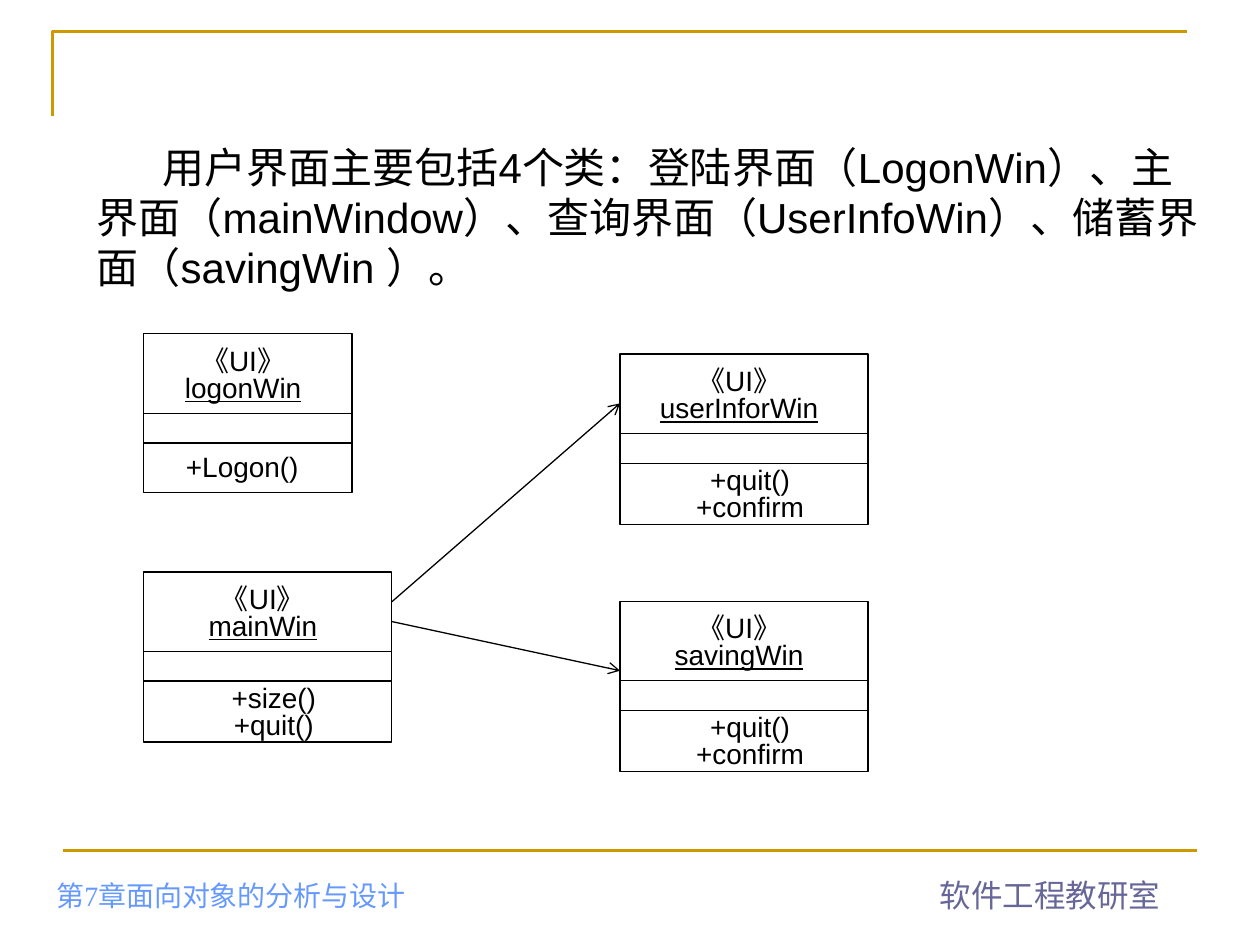
from dataclasses import dataclass

from lxml.etree import SubElement
from pptx import Presentation
from pptx.dml.color import RGBColor
from pptx.enum.shapes import MSO_CONNECTOR, MSO_SHAPE
from pptx.enum.text import MSO_ANCHOR, PP_ALIGN
from pptx.oxml.ns import qn
from pptx.util import Cm, Pt

COLOURS = {
    "ink": "000000",
    "gold": "CC9900",
    "chapter": "6699FF",
    "department": "666699",
}
NAME_HEIGHT = 1.6
OPERATIONS_TOP = 2.2


@dataclass(frozen=True)
class TextStyle:
    size: float = 16
    colour: str = "ink"
    font: str = "Arial"
    align: PP_ALIGN = PP_ALIGN.LEFT
    spacing: float = 1.0
    anchor: MSO_ANCHOR = MSO_ANCHOR.TOP
    wrap: bool = True
    indent: float = 0


@dataclass(frozen=True)
class UmlClass:
    name: str
    operations: tuple[str, ...]
    left: float
    top: float
    width: float = 5.0
    height: float = 3.43


@dataclass(frozen=True)
class Association:
    start: tuple[float, float]
    end: tuple[float, float]


CENTRED = TextStyle(align=PP_ALIGN.CENTER, spacing=0.8)
CLASSES = (
    UmlClass("logonWin", ("+Logon()",), 2.9, 6.73, 4.2, 3.2),
    UmlClass("userInforWin", ("+quit()", "+confirm"), 12.5, 7.14),
    UmlClass("mainWin", ("+size()", "+quit()"), 2.9, 11.53),
    UmlClass("savingWin", ("+quit()", "+confirm"), 12.5, 12.12),
)
ASSOCIATIONS = (
    Association((7.9, 12.13), (12.5, 8.13)),
    Association((7.9, 12.53), (12.5, 13.52)),
)


def colour(name: str) -> RGBColor:
    return RGBColor.from_string(COLOURS[name])


def add_text(shapes, left: float, top: float, width: float, height: float,
             lines: tuple[str, ...], style: TextStyle, underlined: str = "") -> None:
    """Write one paragraph per line, underlining the line equal to underlined."""
    frame = shapes.add_textbox(Cm(left), Cm(top), Cm(width), Cm(height)).text_frame
    frame.word_wrap = style.wrap
    frame.vertical_anchor = style.anchor
    for index, line in enumerate(lines):
        paragraph = frame.add_paragraph() if index else frame.paragraphs[0]
        paragraph.alignment = style.align
        paragraph.line_spacing = style.spacing
        if style.indent:
            paragraph._p.get_or_add_pPr().set("indent", str(Cm(style.indent)))
        run = paragraph.add_run()
        run.text = line
        run.font.name = style.font
        run.font.size = Pt(style.size)
        run.font.color.rgb = colour(style.colour)
        if line == underlined:
            run.font.underline = True


def add_line(shapes, start: tuple[float, float], end: tuple[float, float],
             ink: str = "ink", weight: float = 0.75, arrow: bool = False) -> None:
    line = shapes.add_connector(
        MSO_CONNECTOR.STRAIGHT, Cm(start[0]), Cm(start[1]), Cm(end[0]), Cm(end[1]))
    line.line.color.rgb = colour(ink)
    line.line.width = Pt(weight)
    if arrow:
        SubElement(line.line._get_or_add_ln(), qn("a:tailEnd"), type="arrow")
    SubElement(line._element.spPr, qn("a:effectLst"))


def add_class(slide, uml: UmlClass) -> None:
    """Draw a class as a group: name, empty attributes and operations."""
    shapes = slide.shapes.add_group_shape().shapes
    add_text(shapes, uml.left + 0.25, uml.top + 0.2, uml.width - 0.7, 1.35,
             ("《UI》", uml.name), CENTRED, underlined=uml.name)
    outline = shapes.add_shape(MSO_SHAPE.RECTANGLE, Cm(uml.left), Cm(uml.top),
                               Cm(uml.width), Cm(uml.height))
    outline.shadow.inherit = False
    outline.fill.background()
    outline.line.color.rgb = colour("ink")
    outline.line.width = Pt(0.75)
    for offset in (NAME_HEIGHT, OPERATIONS_TOP):
        y = uml.top + offset
        add_line(shapes, (uml.left, y), (uml.left + uml.width, y))
    several = len(uml.operations) > 1
    add_text(shapes, uml.left + 0.6, uml.top + OPERATIONS_TOP, uml.width - 0.96,
             1.35 if several else 0.94, uml.operations,
             CENTRED if several else TextStyle())


def add_frame(slide) -> None:
    """Draw the corner rule, the bottom rule and both footers."""
    builder = slide.shapes.build_freeform(Cm(1.06), Cm(2.34), scale=1.0)
    builder.add_line_segments(
        [(Cm(1.06), Cm(0.63)), (Cm(23.92), Cm(0.63))], close=False)
    corner = builder.convert_to_shape()
    corner.shadow.inherit = False
    corner.fill.background()
    corner.line.color.rgb = colour("gold")
    corner.line.width = Pt(1.5)
    add_line(slide.shapes, (1.27, 17.14), (24.13, 17.14), "gold", 1.5)
    add_text(slide.shapes, 18.7, 17.53, 4.95, 1.02, ("软件工程教研室",),
             TextStyle(18, "department", wrap=False))
    add_text(slide.shapes, 0.89, 17.73, 10.41, 0.79, ("第7章面向对象的分析与设计",),
             TextStyle(16, "chapter", "Times New Roman", anchor=MSO_ANCHOR.BOTTOM))


def main() -> None:
    presentation = Presentation()
    presentation.slide_width = Cm(25.4)
    presentation.slide_height = Cm(19.05)
    slide = presentation.slides.add_slide(presentation.slide_layouts[6])
    add_frame(slide)
    for uml in CLASSES:
        add_class(slide, uml)
    introduction = (
        "用户界面主要包括4个类：登陆界面（LogonWin）、主界面（mainWindow）、"
        "查询界面（UserInfoWin）、储蓄界面（savingWin ）。")
    add_text(slide.shapes, 1.7, 2.72, 22.81, 3.3, (introduction,),
             TextStyle(24, indent=1.33))
    for association in ASSOCIATIONS:
        add_line(slide.shapes, association.start, association.end, arrow=True)
    presentation.save("out.pptx")


if __name__ == "__main__":
    main()
